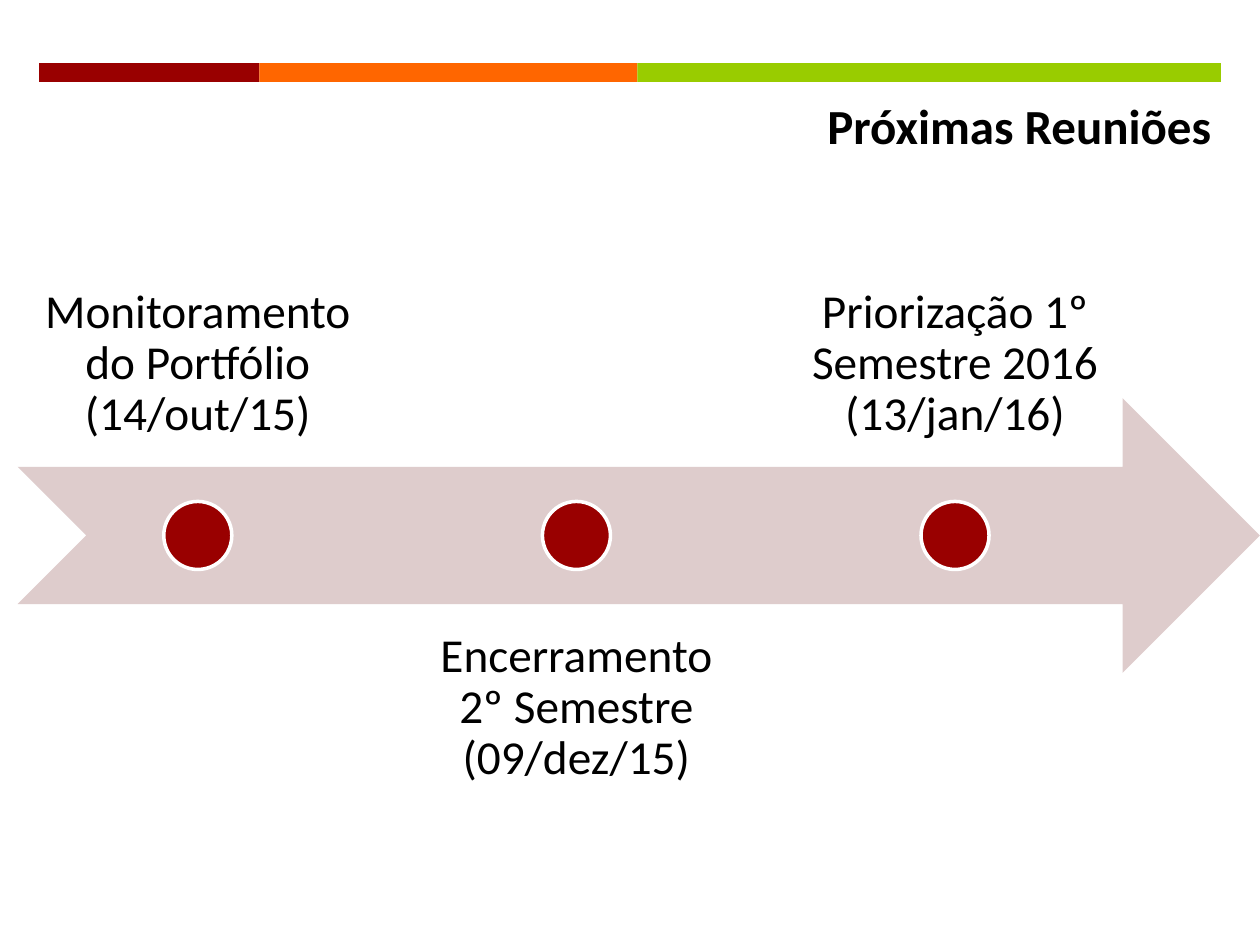
from dataclasses import dataclass

from pptx import Presentation
from pptx.dml.color import RGBColor
from pptx.enum.shapes import MSO_SHAPE
from pptx.enum.text import MSO_ANCHOR, PP_ALIGN
from pptx.util import Inches, Pt

RECT, ARROW, OVAL = MSO_SHAPE.RECTANGLE, MSO_SHAPE.NOTCHED_RIGHT_ARROW, MSO_SHAPE.OVAL
TOP, BOTTOM = MSO_ANCHOR.TOP, MSO_ANCHOR.BOTTOM
CENTER, RIGHT = PP_ALIGN.CENTER, PP_ALIGN.RIGHT


@dataclass(frozen=True)
class Theme:
    """Colours, font and type sizes of the slide."""
    red: str = "990000"
    orange: str = "FF6600"
    green: str = "99CC00"
    arrow: str = "DECCCC"
    white: str = "FFFFFF"
    ink: str = "000000"
    font: str = "Calibri"
    title: float = 28
    label: float = 27
    outline: float = 2


THEME = Theme()
WIDTH, HEIGHT = 10, 7.5
BAR_LEFT, BAR_TOP, BAR_HEIGHT = 0.31, 0.5, 0.15
BAR_PARTS = ((THEME.red, 1.75), (THEME.orange, 3), (THEME.green, 4.63))
LEFT, ARROW_TOP, BAND = 0.14, 3.16, 2.18
COLUMN, LABEL_WIDTH, DOT = 3.005, 2.86, 0.54
LABEL_TOP, LABEL_LOW, INSET = 1.53, 4.8, 0.21
MEETINGS = (
    "Monitoramento do Portfólio (14/out/15)",
    "Encerramento 2º Semestre (09/dez/15)",
    "Priorização 1º Semestre 2016 (13/jan/16)",
)


def set_all(target, values):
    """Set each named attribute of the target."""
    for name, value in values.items():
        setattr(target, name, value)


def add_block(s, kind, box, fill, line=None):
    """Add a filled preset shape, outlined if a line colour is given."""
    sp = s.shapes.add_shape(kind, *map(Inches, box))
    sp.shadow.inherit = False
    sp.fill.solid()
    sp.fill.fore_color.rgb = RGBColor.from_string(fill)
    if line:
        sp.line.color.rgb = RGBColor.from_string(line)
        sp.line.width = Pt(THEME.outline)
    else:
        sp.line.fill.background()


def add_text(s, text, box, frame, para, font):
    """Add a wrapped text box with frame, paragraph and font formats."""
    tf = s.shapes.add_textbox(*map(Inches, box)).text_frame
    set_all(tf, {"word_wrap": True, **frame})
    p = tf.paragraphs[0]
    set_all(p, para)
    r = p.add_run()
    r.text = text
    set_all(r.font, {"name": THEME.font, **font})
    r.font.color.rgb = RGBColor.from_string(THEME.ink)


def add_bar(s):
    """Add the coloured strip, its parts laid end to end."""
    x = BAR_LEFT
    for colour, width in BAR_PARTS:
        add_block(s, RECT, (x, BAR_TOP, width, BAR_HEIGHT), colour)
        x += width


def add_meeting(s, column, text):
    """Add one timeline dot with its label, alternately above and below."""
    x = LEFT + column * COLUMN
    above = column % 2 == 0
    sides = ("left", "top", "right", "bottom")
    frame = {f"margin_{side}": Inches(INSET) for side in sides}
    frame["vertical_anchor"] = BOTTOM if above else TOP
    top = LABEL_TOP if above else LABEL_LOW
    add_text(s, text, (x, top, LABEL_WIDTH, BAND), frame,
             {"alignment": CENTER, "line_spacing": 0.9},
             {"size": Pt(THEME.label)})
    dot_x = x + (LABEL_WIDTH - DOT) / 2
    dot_y = ARROW_TOP + (BAND - DOT) / 2
    add_block(s, OVAL, (dot_x, dot_y, DOT, DOT), THEME.red, THEME.white)


def main():
    """Build and save the slide."""
    prs = Presentation()
    set_all(prs, {"slide_width": Inches(WIDTH), "slide_height": Inches(HEIGHT)})
    s = prs.slides.add_slide(prs.slide_layouts[6])
    add_bar(s)
    add_block(s, ARROW, (LEFT, ARROW_TOP, WIDTH - LEFT, BAND), THEME.arrow)
    for column, text in enumerate(MEETINGS):
        add_meeting(s, column, text)
    add_text(s, "Próximas Reuniões", (3.63, 0.71, 6.08, 0.57), {},
             {"alignment": RIGHT}, {"size": Pt(THEME.title), "bold": True})
    prs.save("out.pptx")


if __name__ == "__main__":
    main()
